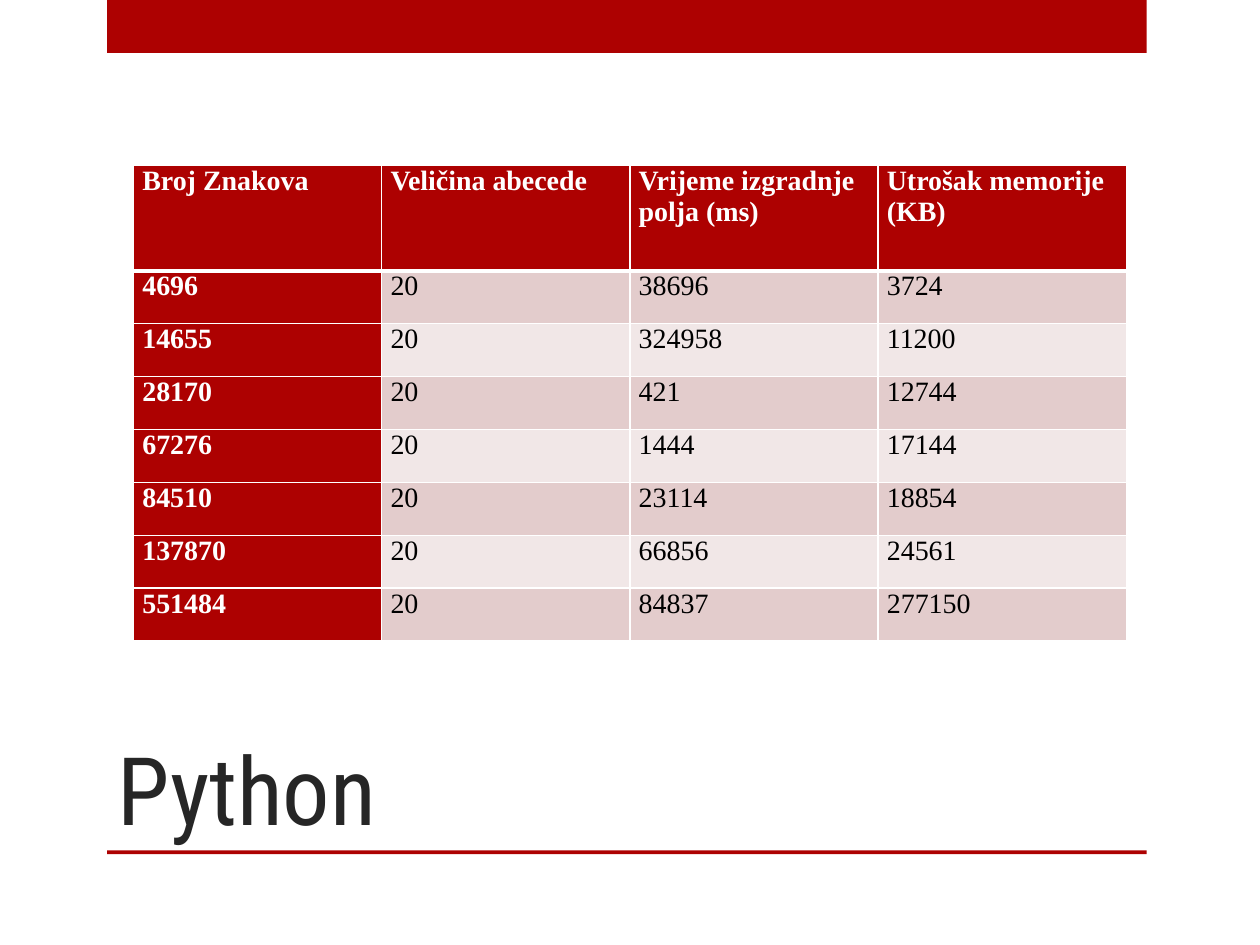
from lxml.etree import SubElement
from pptx import Presentation
from pptx.dml.color import RGBColor
from pptx.enum.shapes import MSO_SHAPE
from pptx.enum.text import MSO_ANCHOR, MSO_AUTO_SIZE, PP_ALIGN
from pptx.oxml.ns import qn
from pptx.util import Inches, Pt

TITLE = "Python"
HEADERS = ["Broj Znakova", "Veličina abecede", "Vrijeme izgradnje polja (ms)", "Utrošak memorije (KB)"]
MEASUREMENTS = [
    (4696, 20, 38696, 3724),
    (14655, 20, 324958, 11200),
    (28170, 20, 421, 12744),
    (67276, 20, 1444, 17144),
    (84510, 20, 23114, 18854),
    (137870, 20, 66856, 24561),
    (551484, 20, 84837, 277150),
]
RED, WHITE, BLACK, TITLE_GREY = "AD0101", "FFFFFF", "000000", "262626"
BANDS = ["E3CCCC", "F1E7E7"]
BARS = [(0.85, 0, 8.25, 0.42), (0.85, 6.75, 8.25, 0.03)]
TITLE_BOX = (0.83, 5, 7.42, 1.75)
TABLE_LEFT, TABLE_TOP = 1.06, 1.31
COLUMN_WIDTH, ROW_HEIGHT = 1.97, 0.42
HEADER_HEIGHT = 2 * ROW_HEIGHT


def color(value):
    return RGBColor.from_string(value)


def add_run(paragraph, text, font_name, size, font_color, bold=False):
    run = paragraph.add_run()
    run.text = text
    run.font.name = font_name
    run.font.size = Pt(size)
    run.font.bold = bold
    run.font.color.rgb = color(font_color)


def add_bar(slide, box):
    bar = slide.shapes.add_shape(MSO_SHAPE.RECTANGLE, *map(Inches, box))
    bar.shadow.inherit = False
    bar.fill.solid()
    bar.fill.fore_color.rgb = color(RED)
    bar.line.fill.background()


def add_title(slide):
    title = slide.shapes.title
    title.left, title.top, title.width, title.height = map(Inches, TITLE_BOX)
    frame = title.text_frame
    frame.auto_size = MSO_AUTO_SIZE.NONE
    frame.vertical_anchor = MSO_ANCHOR.BOTTOM
    paragraph = frame.paragraphs[0]
    paragraph.alignment = PP_ALIGN.LEFT
    add_run(paragraph, TITLE, "Roboto Condensed", 54, TITLE_GREY)


def set_borders(cell, widths):
    """Draw white borders; widths maps each side's tag to points."""
    properties = cell._tc.get_or_add_tcPr()
    for side, width in widths.items():
        line = SubElement(properties, qn(f"a:{side}"), w=str(Pt(width)))
        fill = SubElement(line, qn("a:solidFill"))
        SubElement(fill, qn("a:srgbClr"), val=WHITE)


def fill_cell(cell, text, row, column):
    is_header = row == 0
    is_strong = is_header or column == 0
    set_borders(cell, {"lnL": 1, "lnR": 1, "lnT": 3 if row == 1 else 1, "lnB": 3 if is_header else 1})
    cell.fill.solid()
    cell.fill.fore_color.rgb = color(RED if is_strong else BANDS[(row - 1) % 2])
    cell.margin_left = cell.margin_right = Inches(0.07)
    cell.margin_top = cell.margin_bottom = 0
    paragraph = cell.text_frame.paragraphs[0]
    paragraph.space_before = paragraph.space_after = Pt(6)
    add_run(paragraph, str(text), "Times New Roman", 16, WHITE if is_strong else BLACK, is_strong)


def add_results_table(slide):
    rows = [HEADERS, *MEASUREMENTS]
    width = COLUMN_WIDTH * len(HEADERS)
    height = HEADER_HEIGHT + ROW_HEIGHT * len(MEASUREMENTS)
    box = map(Inches, (TABLE_LEFT, TABLE_TOP, width, height))
    table = slide.shapes.add_table(len(rows), len(HEADERS), *box).table
    table.first_col = True
    for column in table.columns:
        column.width = Inches(COLUMN_WIDTH)
    for row_index, values in enumerate(rows):
        table.rows[row_index].height = Inches(ROW_HEIGHT if row_index else HEADER_HEIGHT)
        for column_index, value in enumerate(values):
            fill_cell(table.cell(row_index, column_index), value, row_index, column_index)


def main():
    presentation = Presentation()
    presentation.slide_width, presentation.slide_height = Inches(10), Inches(7.5)
    slide = presentation.slides.add_slide(presentation.slide_layouts[5])
    for box in BARS:
        add_bar(slide, box)
    add_title(slide)
    add_results_table(slide)
    presentation.save("out.pptx")


if __name__ == "__main__":
    main()
